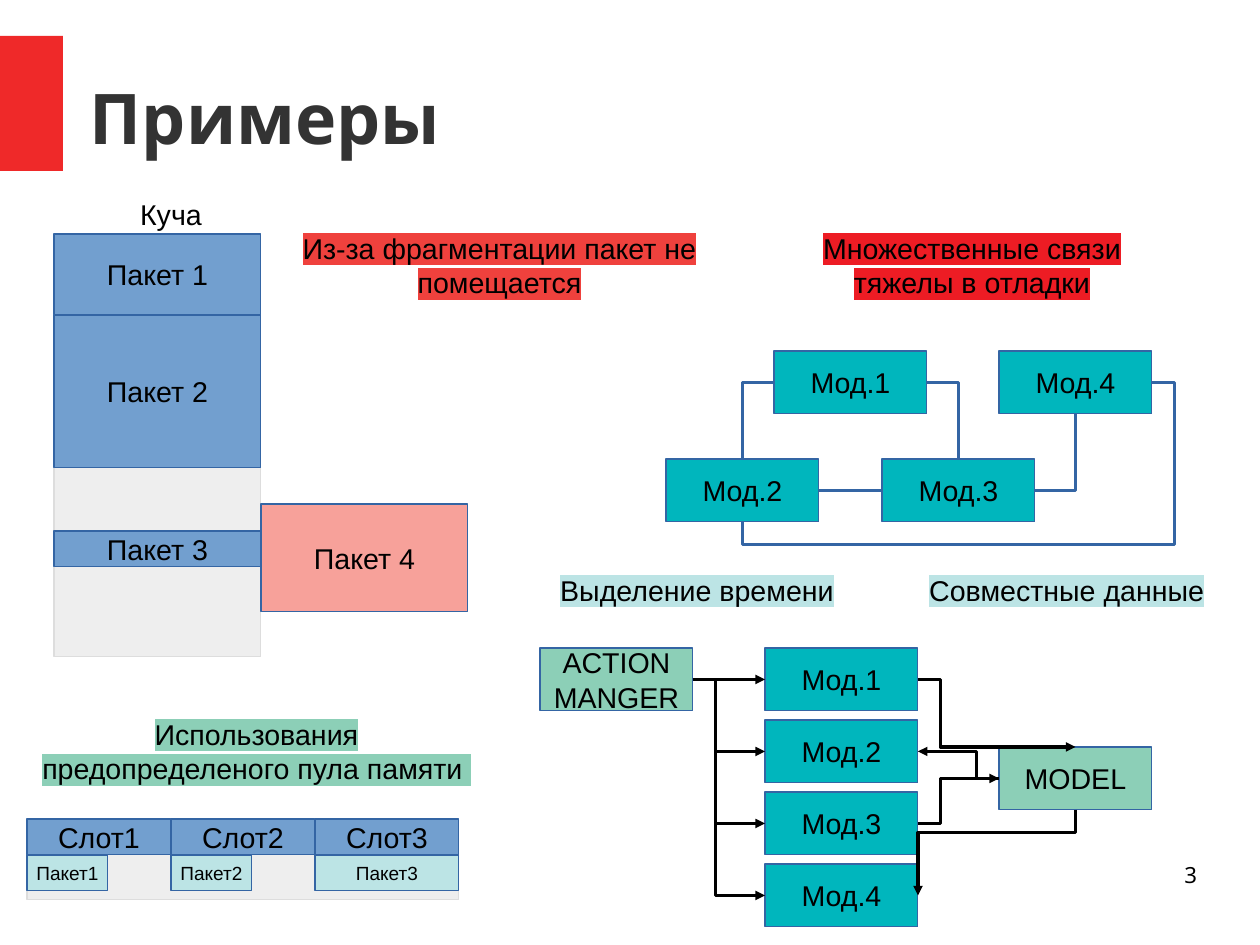
import pptx
import pptx.util
import pptx.dml.color
import pptx.enum.shapes
import pptx.enum.text
import pptx.oxml
import pptx.oxml.ns
from lxml import etree

Cm = pptx.util.Cm
RGB = pptx.dml.color.RGBColor
ALIGN = pptx.enum.text.PP_ALIGN
ANCHOR = pptx.enum.text.MSO_ANCHOR
LINK = pptx.enum.shapes.MSO_CONNECTOR
qn = pptx.oxml.ns.qn

BLACK = RGB(0x00, 0x00, 0x00)
DARK = RGB(0x33, 0x33, 0x33)
ACCENT = RGB(0xEF, 0x29, 0x29)
GREY = RGB(0xEE, 0xEE, 0xEE)
GREY_LINE = RGB(0xDD, 0xDD, 0xDD)
BLUE = RGB(0x72, 0x9F, 0xCF)
BLUE_LINE = RGB(0x34, 0x65, 0xA4)
PINK = RGB(0xF7, 0xA1, 0x9A)
TEAL = RGB(0x00, 0xB6, 0xBD)
GREEN = RGB(0x8C, 0xCF, 0xB7)
PALE = RGB(0xBC, 0xE4, 0xE5)
CORAL = RGB(0xEF, 0x41, 0x3D)
RED = RGB(0xED, 0x1C, 0x24)

TOP, LEFT, BOTTOM, RIGHT = range(4)
STUB = Cm(0.5)  # distance from a box to the first bend
MOD_W, MOD_H = 3.4, 1.4


def side(sp, n):
    """Middle of one side of a box."""
    x, y = sp.left + sp.width // 2, sp.top + sp.height // 2
    return {TOP: (x, sp.top), LEFT: (sp.left, y),
            BOTTOM: (x, sp.top + sp.height), RIGHT: (sp.left + sp.width, y)}[n]


class Board:
    def __init__(self, slide, font="Arial", size=18):
        self.shapes = slide.shapes
        self.font, self.size = font, size

    def fill_text(self, tf, text, size=None, font=None, color=BLACK, bold=False,
                  align=ALIGN.CENTER, mark=None):
        for i, line in enumerate(text.split("\n")):
            p = tf.add_paragraph() if i else tf.paragraphs[0]
            p.alignment = align
            p.font.name = font or self.font
            p.font.size = pptx.util.Pt(size or self.size)
            p.font.color.rgb = color
            p.font.bold = bold
            r = p.add_run()
            r.text = line
            if mark is not None:
                hl = etree.SubElement(r._r.get_or_add_rPr(), qn("a:highlight"))
                etree.SubElement(hl, qn("a:srgbClr")).set("val", str(mark))

    def box(self, x, y, w, h, fill, text="", line=BLUE_LINE, size=None):
        sp = self.shapes.add_shape(pptx.enum.shapes.MSO_SHAPE.RECTANGLE,
                                   Cm(x), Cm(y), Cm(w), Cm(h))
        sp.shadow.inherit = False
        sp.fill.solid()
        sp.fill.fore_color.rgb = fill
        if line is None:
            sp.line.fill.background()
        else:
            sp.line.color.rgb = line
            sp.line.width = 0
        if text:
            tf = sp.text_frame
            tf.word_wrap = False
            tf.vertical_anchor = ANCHOR.MIDDLE
            self.fill_text(tf, text, size)
        return sp

    def module(self, x, y, text, fill=TEAL):
        return self.box(x, y, MOD_W, MOD_H, fill, text)

    def text(self, x, y, w, h, text, inset=True, anchor=ANCHOR.TOP, **style):
        tf = self.shapes.add_textbox(Cm(x), Cm(y), Cm(w), Cm(h)).text_frame
        tf.word_wrap = True
        tf.vertical_anchor = anchor
        if not inset:
            tf.margin_left = tf.margin_right = tf.margin_top = tf.margin_bottom = 0
        self.fill_text(tf, text, **style)

    def connector(self, kind, x1, y1, x2, y2, color, arrow=False):
        c = self.shapes.add_connector(kind, x1, y1, x2, y2)
        c.line.color.rgb = color
        c.line.width = 0
        if arrow:
            etree.SubElement(c.line._get_or_add_ln(), qn("a:tailEnd")).set("type", "triangle")
        etree.SubElement(c._element.spPr, qn("a:effectLst"))
        return c

    def straight(self, a, a_side, b, b_side, color=BLUE_LINE):
        c = self.connector(LINK.STRAIGHT, *side(a, a_side), *side(b, b_side), color)
        c.begin_connect(a, a_side)
        c.end_connect(b, b_side)

    def elbow(self, a, a_side, b, b_side, bends=2, color=BLACK, arrow=True):
        (x1, y1), (x2, y2) = side(a, a_side), side(b, b_side)
        along, across = x2 - x1, y2 - y1
        upright = a_side in (TOP, BOTTOM)
        if upright:  # lay the route out flat about its centre, then turn it
            along, across = across, -along
            mx, my = (x1 + x2) // 2, (y1 + y2) // 2
            x1, y1 = mx - along // 2, my - across // 2
            x2, y2 = x1 + along, y1 + across
        c = self.connector(LINK.ELBOW, x1, y1, x2, y2, color, arrow)
        spPr = c._element.spPr
        if upright:
            spPr.find(qn("a:xfrm")).set("rot", "5400000")
        geom = spPr.find(qn("a:prstGeom"))
        geom.set("prst", f"bentConnector{bends + 1}")
        near = STUB / abs(along)
        guides = {1: {}, 2: {"adj1": near},
                  3: {"adj1": -near, "adj2": 1 + STUB / max(abs(across), 1)}}[bends]
        av = geom.find(qn("a:avLst"))
        if av is None:
            av = etree.SubElement(geom, qn("a:avLst"))
        for name, value in guides.items():
            gd = etree.SubElement(av, qn("a:gd"))
            gd.set("name", name)
            gd.set("fmla", f"val {round(value * 100000)}")


def main():
    prs = pptx.Presentation()
    prs.slide_width, prs.slide_height = Cm(28), Cm(21)
    s = Board(prs.slides.add_slide(prs.slide_layouts[6]))

    # Title and page number
    s.box(0, 0.8, 1.4, 3, ACCENT, line=None)
    s.text(2, 0.85, 24.6, 3.5, "Примеры", inset=False, anchor=ANCHOR.MIDDLE, size=44,
           font="Noto Sans", color=DARK, bold=True, align=ALIGN.LEFT)
    s.text(20.07, 19.13, 6.53, 1.45, "3", inset=False, size=14, font="Noto Sans",
           align=ALIGN.RIGHT)

    # Captions
    s.text(1.4, 4.25, 4.8, 0.96, "Куча")
    for x, y, w, h, text, mark, align in (
            (5.8, 5, 10.6, 1.8, "Из-за фрагментации пакет не помещается", CORAL, ALIGN.CENTER),
            (17, 5, 9.2, 1.8, "Множественные связи тяжелы в отладки", RED, ALIGN.CENTER),
            (0.4, 15.8, 10.6, 1.8, "Использования предопределеного пула памяти ", GREEN,
             ALIGN.CENTER),
            (12.2, 12.6, 7.2, 1.2, "Выделение времени", PALE, ALIGN.LEFT),
            (20.4, 12.6, 7.2, 1.2, "Совместные данные", PALE, ALIGN.LEFT)):
        s.text(x, y, w, h, text, mark=mark, align=align)

    # Heap with packets
    s.box(1.2, 5.2, 4.6, 9.4, GREY, line=GREY_LINE)
    for i, (y, h) in enumerate(((5.2, 1.8), (7, 3.4), (11.8, 0.8)), 1):
        s.box(1.2, y, 4.6, h, BLUE, f"Пакет {i}")
    s.box(5.8, 11.2, 4.6, 2.4, PINK, "Пакет 4")

    # Memory pool
    s.box(0.6, 18.2, 9.6, 1.8, GREY, line=GREY_LINE)
    for i, w in enumerate((1.8, 1.8, 3.2)):
        x = 0.6 + 3.2 * i
        s.box(x, 18.2, 3.2, 0.8, BLUE, f"Слот{i + 1}")
        s.box(x, 19, w, 0.8, PALE, f"Пакет{i + 1}", size=12)

    # Modules tied to each other
    places = ((17.2, 7.8), (14.8, 10.2), (19.6, 10.2), (22.2, 7.8))
    m1, m2, m3, m4 = [s.module(x, y, f"Мод.{i}") for i, (x, y) in enumerate(places, 1)]
    s.straight(m3, LEFT, m2, RIGHT)
    for a, a_side, b, b_side, bends in ((m2, TOP, m1, LEFT, 1), (m1, RIGHT, m3, TOP, 1),
                                        (m3, RIGHT, m4, BOTTOM, 1),
                                        (m2, BOTTOM, m4, RIGHT, 3)):
        s.elbow(a, a_side, b, b_side, bends, BLUE_LINE, arrow=False)

    # Modules run by a manager around a shared model
    mods = [s.module(17, 14.4 + 1.6 * i, f"Мод.{i + 1}") for i in range(4)]
    manager = s.module(12, 14.4, "ACTION\nMANGER", GREEN)
    model = s.module(22.2, 16.6, "MODEL", GREEN)
    for mod in mods:
        s.elbow(manager, RIGHT, mod, LEFT)
    s.elbow(mods[0], RIGHT, model, TOP)
    s.elbow(model, BOTTOM, mods[3], RIGHT)
    s.elbow(mods[2], RIGHT, model, LEFT)
    s.elbow(model, LEFT, mods[1], RIGHT)

    prs.save("out.pptx")


if __name__ == "__main__":
    main()
